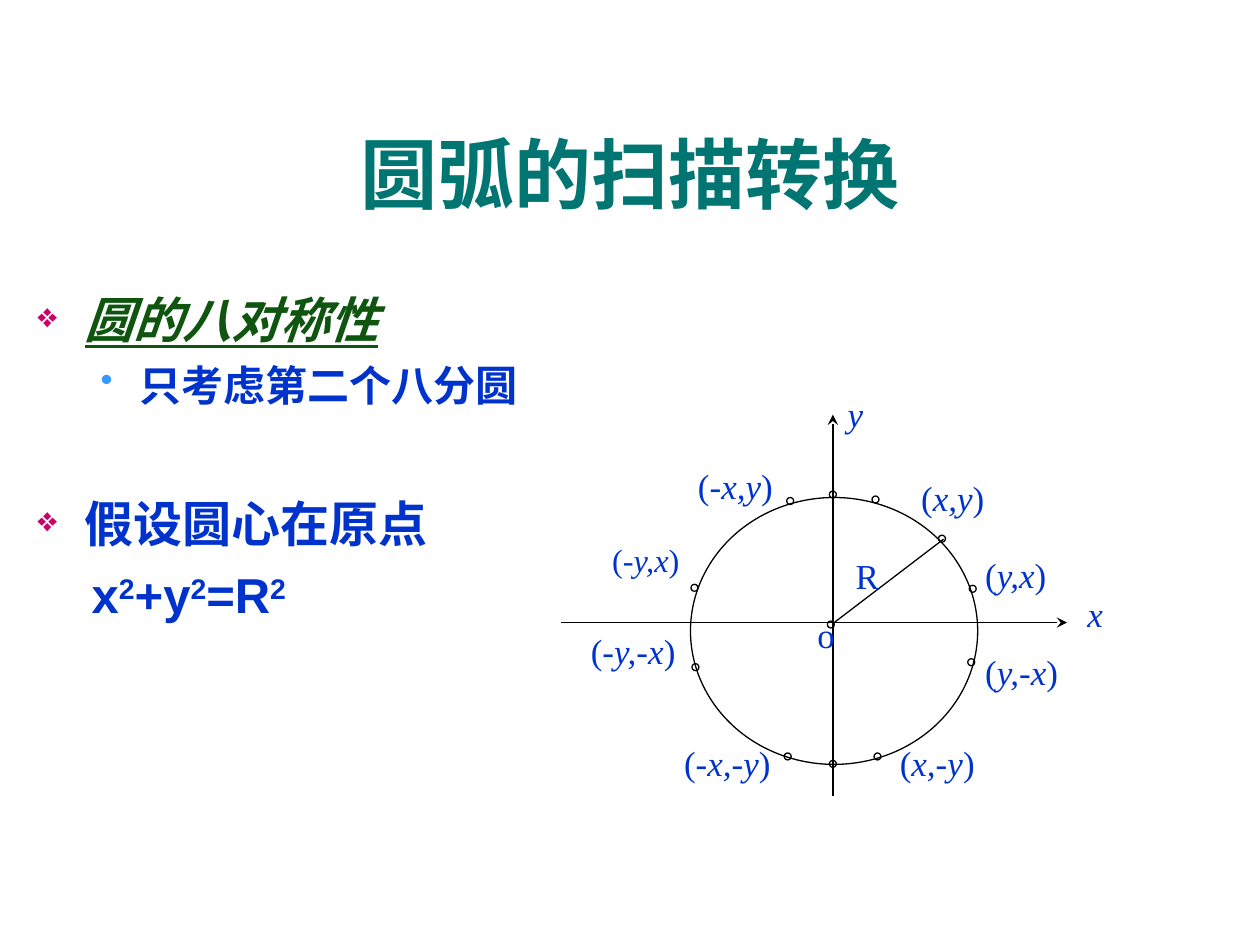
from dataclasses import dataclass
from typing import Optional

from lxml.etree import SubElement
from pptx import Presentation
from pptx.dml.color import RGBColor
from pptx.enum.shapes import MSO_CONNECTOR, MSO_SHAPE
from pptx.enum.text import MSO_ANCHOR, PP_ALIGN
from pptx.oxml.ns import qn
from pptx.util import Cm, Pt


@dataclass(frozen=True)
class Theme:
    sans: str = "Arial"
    serif: str = "Times New Roman"
    title: str = "007572"
    heading: str = "0F550F"
    text: str = "0033CC"
    line: str = "000000"
    diamond: str = "CC0066"
    dot: str = "3399FF"
    title_size: float = 44
    body_size: float = 28
    detail_size: float = 24
    label_size: float = 20
    small_label_size: float = 18.5
    line_width: float = 0.75


@dataclass(frozen=True)
class Bullet:
    symbol: str
    color: str
    percent: int


@dataclass(frozen=True)
class BodyLine:
    runs: tuple[str, ...]
    size: float
    color: str
    margin: float
    indent: float
    space_before: float
    bullet: Optional[Bullet] = None
    emphasis: bool = False


@dataclass(frozen=True)
class Label:
    left: float
    top: float
    width: float
    height: float
    prefix: str = ""
    variables: str = ""
    suffix: str = ""
    size: float = Theme.label_size
    spacing: float = 1.0
    alignment: PP_ALIGN = PP_ALIGN.JUSTIFY


@dataclass(frozen=True)
class Segment:
    start: tuple[float, float]
    end: tuple[float, float]
    arrow: bool = False


THEME = Theme()
DIAMOND = Bullet("❖", THEME.diamond, 70)
DOT = Bullet("•", THEME.dot, 85)

BODY = (
    BodyLine(("圆的八对称性",), THEME.body_size, THEME.heading, 0.95, -0.95, 7, DIAMOND, True),
    BodyLine(("只考虑第二个八分圆",), THEME.detail_size, THEME.text, 2.06, -0.79, 6, DOT),
    BodyLine(("假设圆心在原点",), THEME.body_size, THEME.text, 0.95, -0.95, 48, DIAMOND),
    BodyLine(("x", "2", "+y", "2", "=R", "2"), THEME.body_size, THEME.text, 1.09, 0, 7),
)

SEGMENTS = (
    Segment((11.3, 12.55), (21.51, 12.55), True),
    Segment((16.79, 16.05), (16.79, 8.36), True),
    Segment((16.79, 12.57), (19.02, 10.87)),
)

CIRCLE = (13.92, 10.03, 5.79, 5.38)
POINT_SIZE = 0.14
POINTS = (
    (16.75, 12.59), (16.79, 9.97), (16.79, 15.4), (15.88, 15.25),
    (17.69, 15.25), (17.65, 10.07), (15.93, 10.1), (19.58, 13.35),
    (19.61, 11.87), (14, 11.85), (14.02, 13.45), (18.99, 10.86),
)

LABELS = (
    Label(17.09, 7.92, 0.76, 1.45, variables="y"),
    Label(21.92, 11.94, 1.04, 1.42, variables="x"),
    Label(14.07, 9.37, 2.18, 0.89, "(-", "x,y", ")"),
    Label(18.57, 9.6, 1.35, 1.45, "(", "x,y", ")"),
    Label(12.34, 10.97, 1.47, 1.3, "(-", "y,x", ")", THEME.small_label_size, 0.9),
    Label(19.86, 11.15, 1.35, 1.07, "(", "y,x", ")"),
    Label(19.86, 13.11, 1.78, 1.35, "(", "y,-x", ")"),
    Label(11.91, 12.7, 1.93, 1.35, "(-", "y,-x", ")"),
    Label(13.79, 14.94, 1.78, 1.02, "(-", "x,-y", ")"),
    Label(18.14, 14.94, 1.78, 1.07, "(", "x,-y", ")"),
    Label(15.93, 12.37, 1.45, 1.68, "o", alignment=PP_ALIGN.CENTER),
    Label(17.25, 11.18, 0.69, 0.99, "R"),
)


def add_text_frame(slide, left: float, top: float, width: float, height: float):
    frame = slide.shapes.add_textbox(Cm(left), Cm(top), Cm(width), Cm(height)).text_frame
    frame.word_wrap = True
    return frame


def set_font(paragraph, name: str, size: float, color: str, bold: bool = False) -> None:
    paragraph.font.name = name
    paragraph.font.size = Pt(size)
    paragraph.font.bold = bold
    paragraph.font.color.rgb = RGBColor.from_string(color)


def add_title(slide) -> None:
    frame = add_text_frame(slide, 0.84, 1.9, 23.72, 3.18)
    frame.vertical_anchor = MSO_ANCHOR.MIDDLE
    paragraph = frame.paragraphs[0]
    paragraph.text = "圆弧的扫描转换"
    paragraph.alignment = PP_ALIGN.CENTER
    set_font(paragraph, THEME.sans, THEME.title_size, THEME.title, True)


def set_bullet(properties, bullet: Bullet) -> None:
    color = SubElement(properties, qn("a:buClr"))
    SubElement(color, qn("a:srgbClr"), val=bullet.color)
    SubElement(properties, qn("a:buSzPct"), val=str(bullet.percent * 1000))
    SubElement(properties, qn("a:buChar"), char=bullet.symbol)


def add_body(slide, lines: tuple[BodyLine, ...]) -> None:
    frame = add_text_frame(slide, 0.51, 5.72, 15.24, 8)
    for index, line in enumerate(lines):
        paragraph = frame.add_paragraph() if index else frame.paragraphs[0]
        paragraph.alignment = PP_ALIGN.JUSTIFY
        paragraph.space_before = Pt(line.space_before)
        properties = paragraph._p.get_or_add_pPr()
        properties.set("marL", str(Cm(line.margin)))
        properties.set("indent", str(Cm(line.indent)))
        if line.bullet:
            set_bullet(properties, line.bullet)
        set_font(paragraph, THEME.sans, line.size, line.color, True)
        paragraph.font.italic = line.emphasis
        paragraph.font.underline = line.emphasis
        for position, text in enumerate(line.runs):
            run = paragraph.add_run()
            run.text = text
            if position % 2:
                run.font._element.set("baseline", "30000")


def style_line(line) -> None:
    line.color.rgb = RGBColor.from_string(THEME.line)
    line.width = Pt(THEME.line_width)


def add_segment(slide, segment: Segment) -> None:
    ends = [Cm(value) for value in (*segment.start, *segment.end)]
    connector = slide.shapes.add_connector(MSO_CONNECTOR.STRAIGHT, *ends)
    style_line(connector.line)
    if segment.arrow:
        SubElement(connector.line._get_or_add_ln(), qn("a:tailEnd"), type="stealth")
    SubElement(connector._element.spPr, qn("a:effectLst"))


def add_ellipse(slide, left: float, top: float, width: float, height: float) -> None:
    shape = slide.shapes.add_shape(MSO_SHAPE.OVAL, Cm(left), Cm(top), Cm(width), Cm(height))
    shape.shadow.inherit = False
    shape.fill.background()
    style_line(shape.line)


def add_label(slide, label: Label) -> None:
    frame = add_text_frame(slide, label.left, label.top, label.width, label.height)
    frame.margin_left = frame.margin_top = frame.margin_right = frame.margin_bottom = 0
    paragraph = frame.paragraphs[0]
    paragraph.alignment = label.alignment
    paragraph.line_spacing = label.spacing
    set_font(paragraph, THEME.serif, label.size, THEME.text)
    for text, italic in ((label.prefix, False), (label.variables, True), (label.suffix, False)):
        if text:
            run = paragraph.add_run()
            run.text = text
            run.font.italic = italic


def main() -> None:
    presentation = Presentation()
    presentation.slide_width, presentation.slide_height = Cm(25.4), Cm(19.05)
    slide = presentation.slides.add_slide(presentation.slide_layouts[6])
    add_title(slide)
    add_body(slide, BODY)
    for segment in SEGMENTS:
        add_segment(slide, segment)
    add_ellipse(slide, *CIRCLE)
    for x, y in POINTS:
        add_ellipse(slide, x - POINT_SIZE / 2, y - POINT_SIZE / 2, POINT_SIZE, POINT_SIZE)
    for label in LABELS:
        add_label(slide, label)
    presentation.save("out.pptx")


if __name__ == "__main__":
    main()
